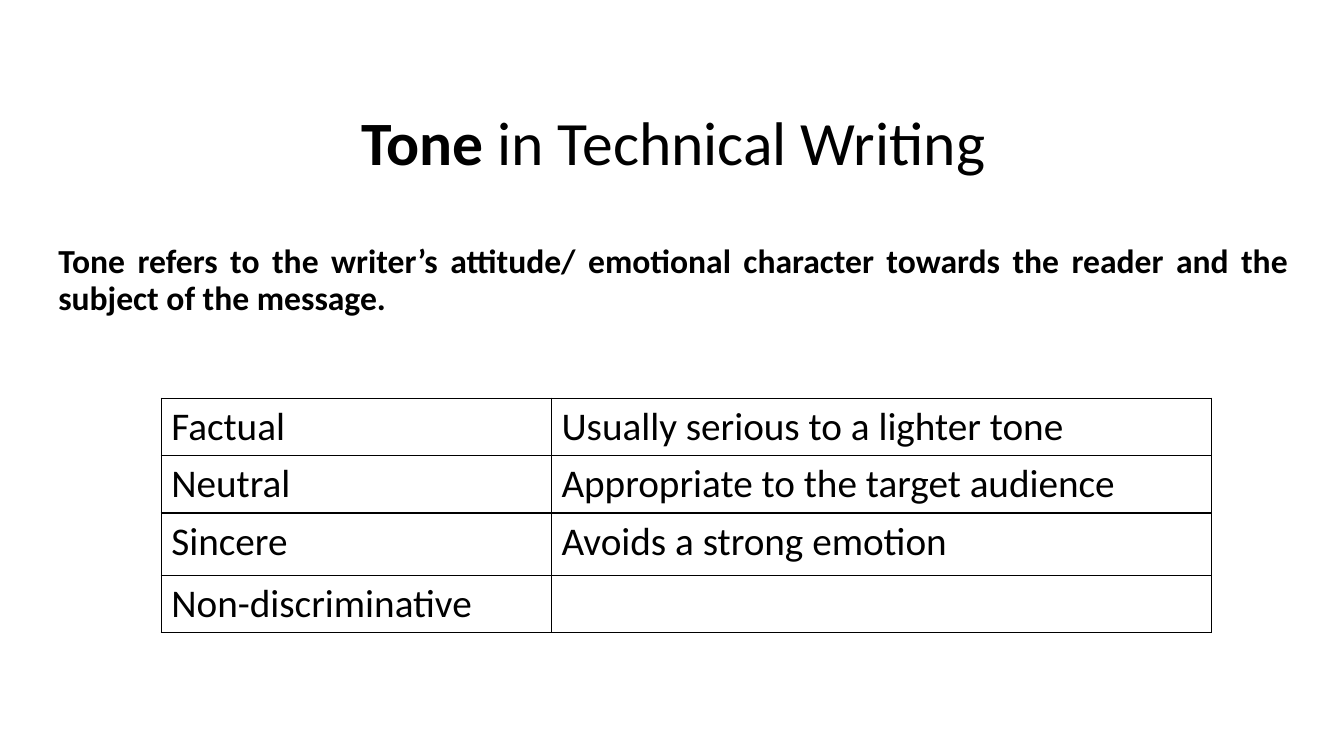
from lxml import etree
from pptx import Presentation
from pptx.dml.color import RGBColor
from pptx.enum.text import MSO_ANCHOR, PP_ALIGN
from pptx.oxml.ns import qn
from pptx.util import Inches, Pt

CENTER, JUSTIFY = PP_ALIGN.CENTER, PP_ALIGN.JUSTIFY
MIDDLE, TOP = MSO_ANCHOR.MIDDLE, MSO_ANCHOR.TOP
COLORS = {"text": "000000", "border": "000000"}
FONT = "Calibri"
COLUMNS = [3.87, 6.55]
ROWS = [
    ("Factual", "Usually serious to a lighter tone", 0.57),
    ("Neutral", "Appropriate to the target audience", 0.57),
    ("Sincere", "Avoids a strong emotion", 0.62),
    ("Non-discriminative", "", 0.57),
]


def style(p, size):
    p.font.name = FONT
    p.font.size = Pt(size)
    p.font.color.rgb = RGBColor.from_string(COLORS["text"])


def add_text(box, runs, size, align, anchor):
    """Add a one-paragraph text box; runs are (text, bold) pairs."""
    tf = s.shapes.add_textbox(*(Inches(v) for v in box)).text_frame
    tf.word_wrap = True
    tf.vertical_anchor = anchor
    p = tf.paragraphs[0]
    p.alignment = align
    p.line_spacing = 0.9
    style(p, size)
    for text, bold in runs:
        r = p.add_run()
        r.text = text
        r.font.bold = bold


prs = Presentation()
prs.slide_width, prs.slide_height = Inches(13.33), Inches(7.5)
s = prs.slides.add_slide(prs.slide_layouts[6])

add_text((0.93, 0.72, 11.5, 1.45),
         [("Tone", True), (" in Technical Writing", False)], 44, CENTER, MIDDLE)
add_text((0.48, 2.38, 12.4, 1.4),
         [("Tone refers to the writer’s attitude/ emotional character towards "
           "the reader and the subject of the message.", True)], 24, JUSTIFY, TOP)

table = s.shapes.add_table(
    len(ROWS), len(COLUMNS), Inches(1.6), Inches(3.95),
    Inches(sum(COLUMNS)), Inches(sum(row[-1] for row in ROWS))).table
table.first_row = table.horz_banding = False
for column, width in zip(table.columns, COLUMNS):
    column.width = Inches(width)

for i, (*texts, height) in enumerate(ROWS):
    table.rows[i].height = Inches(height)
    for j, text in enumerate(texts):
        cell = table.cell(i, j)
        cell.text = text
        style(cell.text_frame.paragraphs[0], 28)
        tcPr = cell._tc.get_or_add_tcPr()
        for side in ("a:lnL", "a:lnR", "a:lnT", "a:lnB"):
            ln = etree.SubElement(tcPr, qn(side), w=str(Pt(1)))
            fill = etree.SubElement(ln, qn("a:solidFill"))
            etree.SubElement(fill, qn("a:srgbClr"), val=COLORS["border"])
        cell.fill.background()

prs.save("out.pptx")
